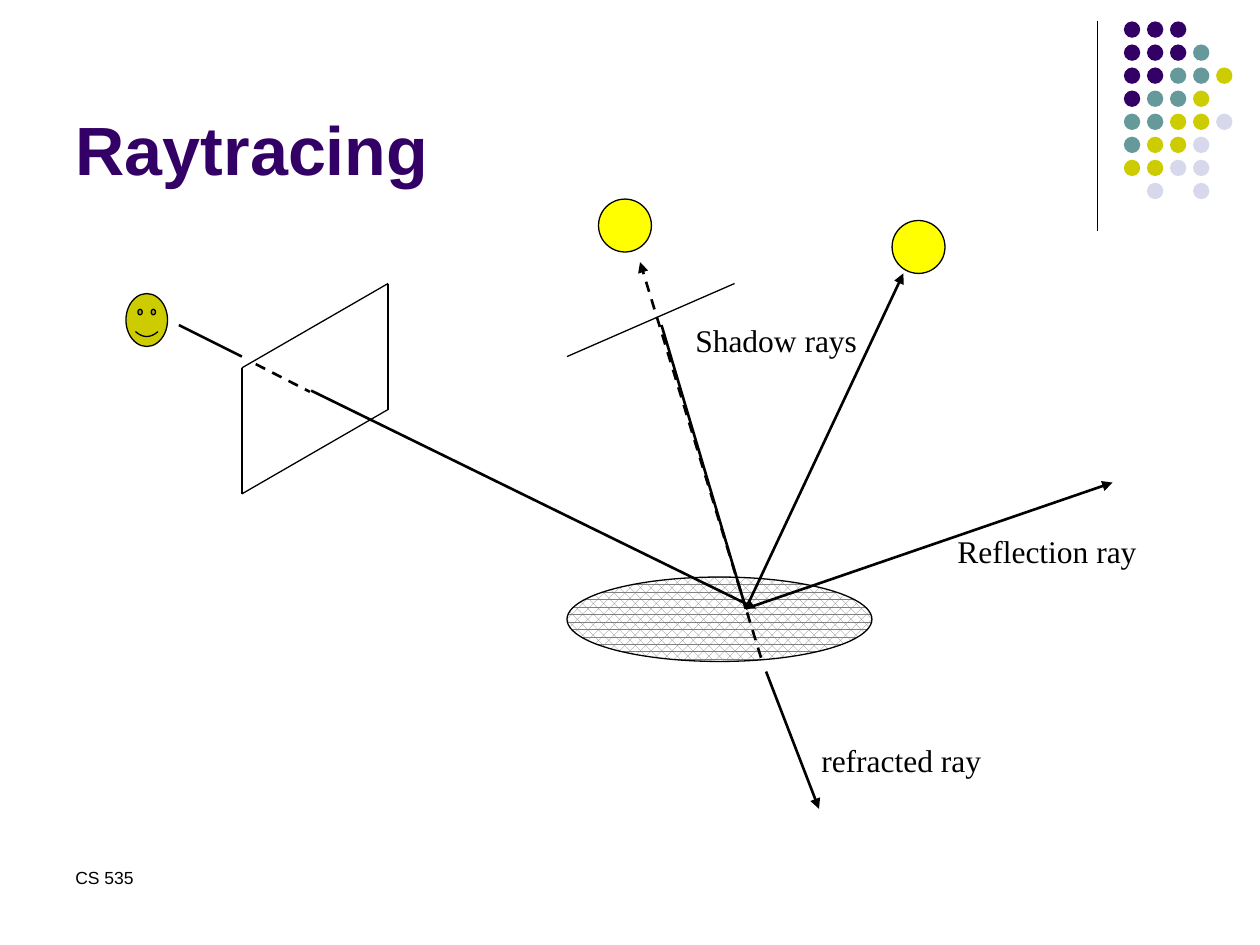
import pptx
import pptx.util
from pptx.dml.color import RGBColor
from pptx.enum.dml import MSO_LINE, MSO_PATTERN
from pptx.enum.shapes import MSO_CONNECTOR, MSO_SHAPE
from pptx.enum.text import MSO_ANCHOR, MSO_AUTO_SIZE, PP_ALIGN
from pptx.oxml.ns import qn
from lxml import etree

Inches, Pt = pptx.util.Inches, pptx.util.Pt

TITLE = "Raytracing"
TEXTS = [  # text, box, size, font
    ("CS 535", (0.5, 6.83, 2.33, 0.5), 10, "Arial"),
    ("Shadow rays", (5.42, 2.5, 1.5, 0.4), 18, "Times New Roman"),
    ("Reflection ray", (7.5, 4.17, 1.92, 0.4), 18, "Times New Roman"),
    ("refracted ray", (6.42, 5.83, 1.92, 0.4), 18, "Times New Roman"),
]

DOTS = ["PPP", "PPPT", "PPTTY", "PTTY", "TTYYL", "TYYL", "YYLL", " L L"]
COLORS = {"P": "330066", "T": "669999", "Y": "CCCC00", "L": "D8D8EC"}
DOT_X, DOT_Y, STEP, DOT = 8.92, 0.17, 0.183, 0.13

EYE = (1, 2.33, 0.33, 0.42)
SURFACE = (4.5, 4.58, 2.42, 0.67)
LIGHTS = [(7.08, 1.75, 0.42, 0.42), (4.75, 1.58, 0.42, 0.42)]
SCREEN = [(1.92, 2.92), (3.08, 2.25), (3.08, 3.25), (1.92, 3.92)]
BLOCKER = ((4.5, 2.83), (5.83, 2.25))
RULE = ((8.71, 0.17), (8.71, 1.83))

HIT = (5.92, 4.83)
RAYS = [  # start, end, dashed, arrow
    ((2.47, 3.1), (6, 4.83), False, True),
    ((1.42, 2.58), (1.92, 2.83), False, False),
    ((2.03, 2.89), (2.46, 3.11), True, False),
    (HIT, (5.08, 2.08), True, True),
    (HIT, (5.25, 2.58), False, False),
    (HIT, (7.17, 2.17), False, True),
    (HIT, (8.83, 3.83), False, True),
    ((6.08, 5.33), (6.5, 6.42), False, True),
    ((6.04, 5.22), HIT, True, False),
]


def rgb(code):
    return RGBColor.from_string(code)


def style(frame, size, font, color, bold=False):
    for run in frame.paragraphs[0].runs:
        run.font.size, run.font.name, run.font.bold = Pt(size), font, bold
        run.font.color.rgb = rgb(color)


def add_line(start, end, width=0.75, dashed=False, arrow=False):
    line = slide.shapes.add_connector(
        MSO_CONNECTOR.STRAIGHT, *map(Inches, start + end))
    line.line.color.rgb = rgb("000000")
    line.line.width = Pt(width)
    if dashed:
        line.line.dash_style = MSO_LINE.DASH
    if arrow:
        etree.SubElement(line.line._get_or_add_ln(), qn("a:tailEnd"),
                         type="triangle")
    etree.SubElement(line._element.spPr, qn("a:effectLst"))


def add_shape(kind, box, fill=None, edge=True):
    shape = slide.shapes.add_shape(kind, *map(Inches, box))
    shape.shadow.inherit = False
    if fill:
        shape.fill.solid()
        shape.fill.fore_color.rgb = rgb(fill)
    if edge:
        shape.line.color.rgb = rgb("000000")
        shape.line.width = Pt(0.75)
    else:
        shape.line.fill.background()
    return shape


def add_text(text, box, size, font):
    frame = slide.shapes.add_textbox(*map(Inches, box)).text_frame
    frame.word_wrap = True
    frame.text = text
    style(frame, size, font, "000000")


deck = pptx.Presentation()
deck.slide_width, deck.slide_height = Inches(10), Inches(7.5)
slide = deck.slides.add_slide(deck.slide_layouts[5])

title = slide.shapes.title
title.left, title.top = Inches(0.5), Inches(0.13)
title.width, title.height = Inches(8.25), Inches(1.42)
frame = title.text_frame
frame.text = TITLE
frame.auto_size = MSO_AUTO_SIZE.NONE
frame.vertical_anchor = MSO_ANCHOR.BOTTOM
frame.paragraphs[0].alignment = PP_ALIGN.LEFT
style(frame, 39, "Arial", "330066", True)

add_line(*RULE)
for row, marks in enumerate(DOTS):
    for col, mark in enumerate(marks):
        if mark in COLORS:
            box = (DOT_X + col * STEP, DOT_Y + row * STEP, DOT, DOT)
            add_shape(MSO_SHAPE.OVAL, box, COLORS[mark], edge=False)

add_shape(MSO_SHAPE.SMILEY_FACE, EYE, "CCCC00")
for start, end in zip(SCREEN, SCREEN[1:] + SCREEN[:1]):
    add_line(start, end)

surface = add_shape(MSO_SHAPE.OVAL, SURFACE)
surface.fill.patterned()
surface.fill.pattern = MSO_PATTERN.PERCENT_60
surface.fill.fore_color.rgb = rgb("808080")
surface.fill.back_color.rgb = rgb("FFFFFF")

for box in LIGHTS:
    add_shape(MSO_SHAPE.OVAL, box, "FFFF00")
add_line(*BLOCKER)
for start, end, dashed, arrow in RAYS:
    add_line(start, end, 1.5, dashed, arrow)
for item in TEXTS:
    add_text(*item)

deck.save("out.pptx")
